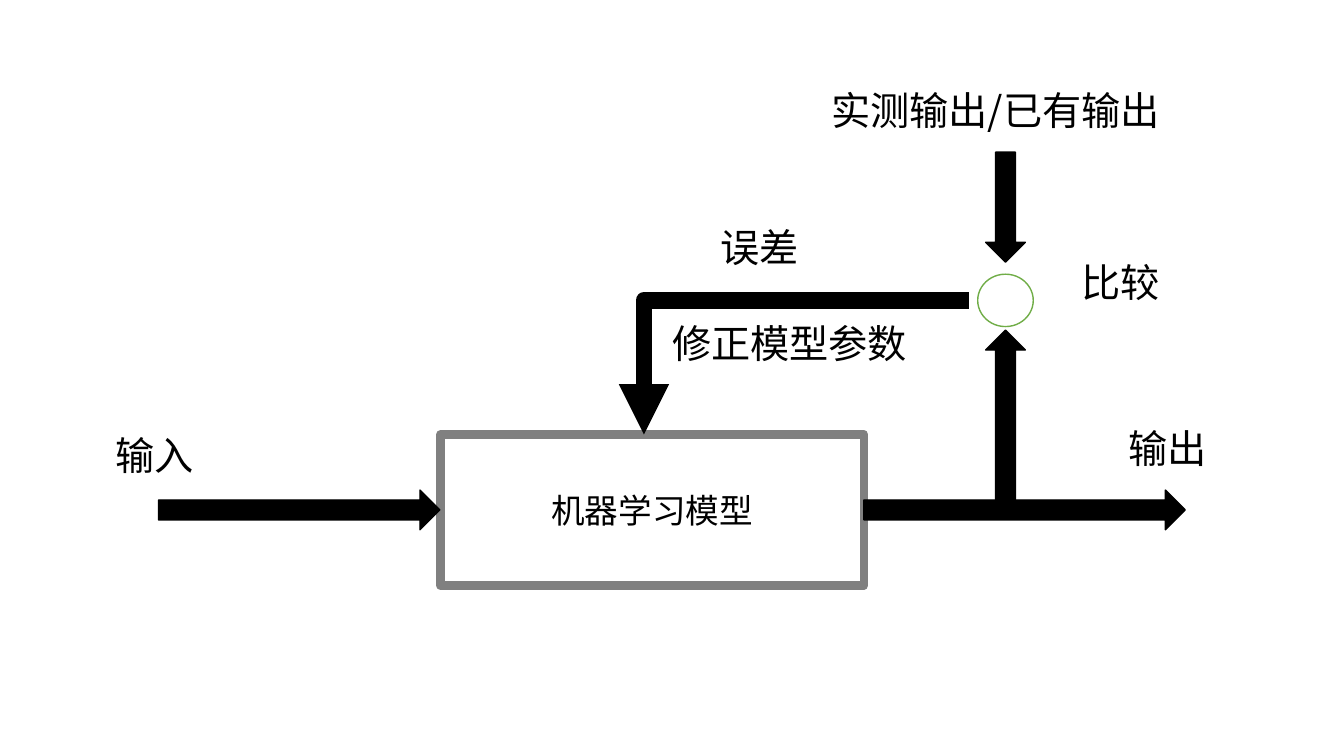
from dataclasses import dataclass

from lxml import etree
from pptx import Presentation
from pptx import util as u
from pptx.dml.color import RGBColor
from pptx.enum import shapes, text
from pptx.oxml import ns


@dataclass(frozen=True)
class Theme:
    font: str = "Noto Sans CJK SC"
    paper: str = "FFFFFF"
    ink: str = "000000"
    frame: str = "808080"
    ring: str = "70AD47"
    label: int = 28
    model: int = 24
    thin: int = 1
    frame_line: int = 6
    bar: int = 12


class Chart:
    """Draws the elements of the flow diagram; lengths are in cm."""

    def __init__(self, slide, theme):
        self.slide = slide
        self.theme = theme
        fill = slide.background.fill
        fill.solid()
        fill.fore_color.rgb = RGBColor.from_string(theme.paper)

    def add_run(self, para, words, size):
        run = para.add_run()
        run.text = words
        font = run.font
        font.name = self.theme.font
        font.size = u.Pt(size)
        font.color.rgb = RGBColor.from_string(self.theme.ink)
        east = etree.SubElement(run._r.get_or_add_rPr(), ns.qn("a:ea"))
        east.set("typeface", self.theme.font)

    def shape(self, kind, left, top, width, height, fill, line, weight):
        item = self.slide.shapes.add_shape(
            kind, u.Cm(left), u.Cm(top), u.Cm(width), u.Cm(height))
        item.shadow.inherit = False
        item.fill.solid()
        item.fill.fore_color.rgb = RGBColor.from_string(fill)
        item.line.color.rgb = RGBColor.from_string(line)
        item.line.width = u.Pt(weight)
        return item

    def box(self, words, left, top, width, height):
        t = self.theme
        item = self.shape(shapes.MSO_SHAPE.RECTANGLE, left, top, width, height,
                          t.paper, t.frame, t.frame_line)
        frame = item.text_frame
        frame.vertical_anchor = text.MSO_ANCHOR.MIDDLE
        para = frame.paragraphs[0]
        para.alignment = text.PP_ALIGN.CENTER
        self.add_run(para, words, t.model)

    def ring(self, left, top, width, height):
        t = self.theme
        self.shape(shapes.MSO_SHAPE.OVAL, left, top, width, height,
                   t.paper, t.ring, t.thin)

    def arrow(self, mid_x, mid_y, length, turn=0, thick=1):
        t = self.theme
        item = self.shape(shapes.MSO_SHAPE.RIGHT_ARROW,
                          mid_x - length / 2, mid_y - thick / 2, length, thick,
                          t.ink, t.ink, t.thin)
        item.rotation = turn

    def elbow(self, x1, y1, x2, y2):
        item = self.slide.shapes.add_connector(
            shapes.MSO_CONNECTOR.ELBOW, u.Cm(x1), u.Cm(y1), u.Cm(x2), u.Cm(y2))
        item.line.color.rgb = RGBColor.from_string(self.theme.ink)
        item.line.width = u.Pt(self.theme.bar)
        props = item._element.spPr
        props.find(ns.qn("a:prstGeom")).set("prst", "bentConnector2")
        tail = etree.SubElement(props.find(ns.qn("a:ln")), ns.qn("a:tailEnd"))
        tail.set("type", "triangle")
        etree.SubElement(props, ns.qn("a:effectLst"))

    def label(self, words, left, top, width, height=1.45):
        item = self.slide.shapes.add_textbox(
            u.Cm(left), u.Cm(top), u.Cm(width), u.Cm(height))
        frame = item.text_frame
        frame.word_wrap = True
        frame.auto_size = text.MSO_AUTO_SIZE.SHAPE_TO_FIT_TEXT
        self.add_run(frame.paragraphs[0], words, self.theme.label)


def main():
    deck = Presentation()
    deck.slide_width, deck.slide_height = u.Cm(33.87), u.Cm(19.05)
    chart = Chart(deck.slides.add_slide(deck.slide_layouts[6]), Theme())

    # Shared axes: main flow and comparison column
    flow_y, comp_x, loop_y = 12.85, 25.34, 7.57

    # Model with its input and output
    chart.box("机器学习模型", 11.1, 10.95, 10.67, 3.81)
    chart.arrow(25.82, flow_y, 8.1)
    chart.arrow(7.54, flow_y, 7.09)

    # Comparison of both outputs
    chart.arrow(comp_x, 10.53, 4.42, turn=270)
    chart.ring(comp_x - 0.7, loop_y - 0.66, 1.4, 1.32)
    chart.arrow(comp_x, 5.22, 2.77, turn=90)

    # Error fed back to the model
    chart.elbow(24.41, loop_y, 16.23, 10.95)

    # Labels
    for words, left, top, width in (
        ("输入", 2.67, 10.74, 4.88),
        ("输出", 28.19, 10.57, 4.88),
        ("实测输出/已有输出", 20.7, 2.06, 10.31),
        ("比较", 27, 6.38, 4.88),
        ("误差", 17.91, 5.51, 4.88),
        ("修正模型参数", 16.69, 7.92, 7.5),
    ):
        chart.label(words, left, top, width)

    deck.save("out.pptx")


if __name__ == "__main__":
    main()
